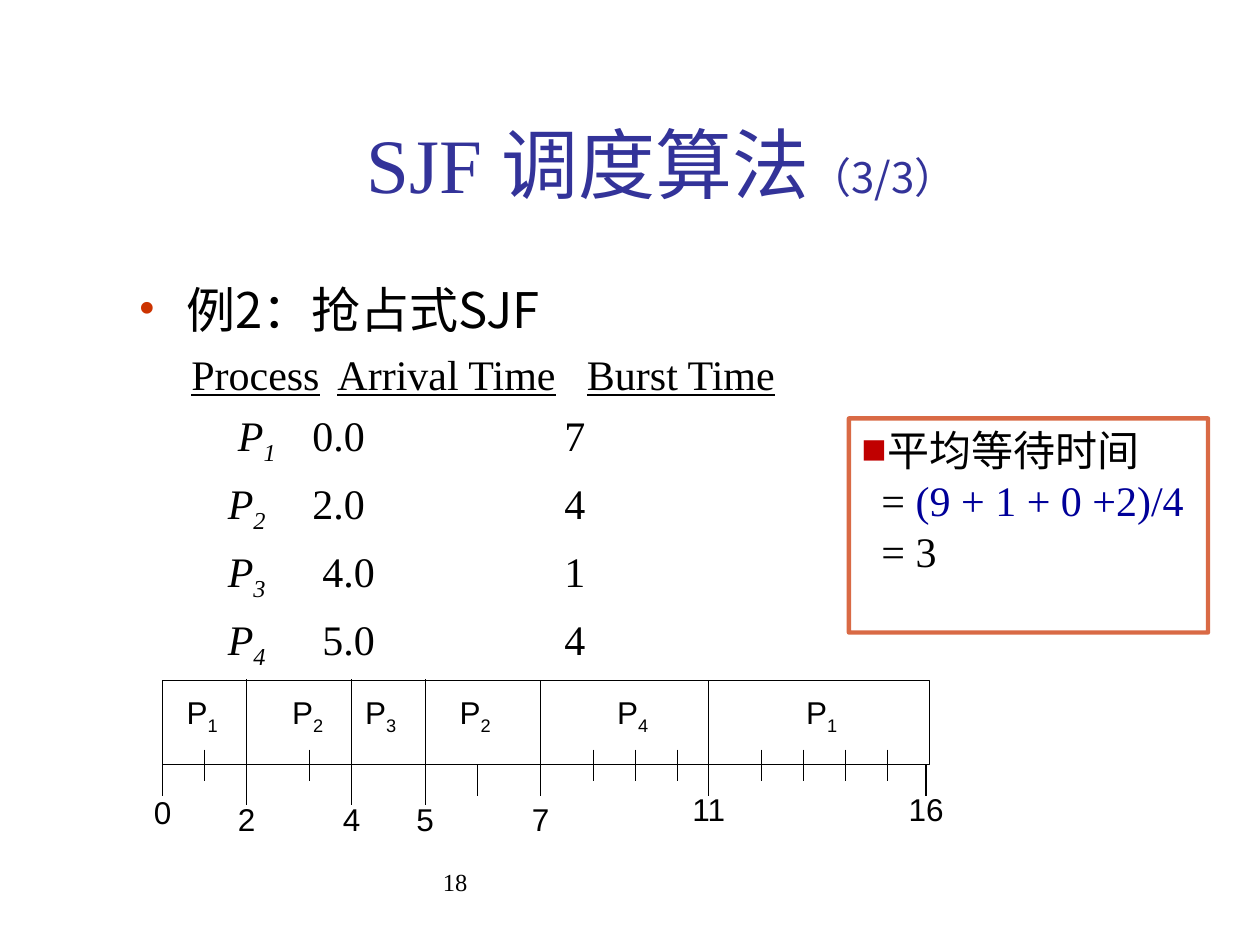
from lxml.etree import SubElement
from pptx import Presentation
from pptx.dml.color import RGBColor
from pptx.enum.shapes import MSO_CONNECTOR, MSO_SHAPE
from pptx.enum.text import MSO_ANCHOR, MSO_AUTO_SIZE, PP_ALIGN
from pptx.oxml.ns import qn
from pptx.util import Inches, Pt

COLORS = {
    "ink": "000000", "paper": "FFFFFF", "title": "333399", "bullet": "CC3300",
    "square": "C00000", "sum": "000099", "frame": "CC3300",
}
SERIF, SANS, CJK = "Times New Roman", "Arial", "Noto Sans CJK SC"
COLS, ROWS = 240, 180
BAR_TOP, BAR_BOTTOM = 129.6, 145.6
TIME_COLS = [31, 39, 47, 59, 67, 81, 91, 103, 113, 121, 129, 135,
             145, 153, 161, 169, 176.4]
LONG_TICK = (BAR_TOP - 0.2, BAR_BOTTOM + 7.8)
BELOW_TICK = (BAR_BOTTOM, BAR_BOTTOM + 6)
MINOR_TICK = (BAR_BOTTOM - 2.8, BAR_BOTTOM + 3.2)
TICKS = {0: BELOW_TICK, 2: LONG_TICK, 4: LONG_TICK, 5: LONG_TICK,
         6: BELOW_TICK, 7: BELOW_TICK, 11: BELOW_TICK, 16: BELOW_TICK}
DIVIDED_TIMES = (7, 11)
TIME_LABEL_ROWS = {0: 149.8, 2: 151.2, 4: 151.2, 5: 151.2, 7: 151.2, 11: 149.3, 16: 149.3}
BURSTS = [("1", 38.5), ("2", 58.6), ("3", 72.5), ("2", 90.5), ("4", 120.5), ("1", 156.5)]
PROCESSES = [("1", "0.0", "7", (0.79, 1.38)), ("2", "2.0", "4", (0.71, 1.38)),
             ("3", "4.0", "1", (0.71, 1.46)), ("4", "5.0", "4", (0.71, 1.46))]


def cells(count):
    """Convert a count of grid cells, 24 to the inch, into a length."""
    return Inches(count / 24)


def rgb(name):
    """Look up a named colour."""
    return RGBColor.from_string(COLORS[name])


def add_run(paragraph, text, font, size, color="ink", subscript=False, **formats):
    """Append a formatted run to a paragraph."""
    run = paragraph.add_run()
    run.text = text
    values = {"name": font, "size": Pt(size), **formats}
    for attribute, value in values.items():
        setattr(run.font, attribute, value)
    run.font.color.rgb = rgb(color)
    properties = run.font._element
    SubElement(properties, qn("a:ea")).set("typeface", font)
    if subscript:
        properties.set("baseline", "-25000")


def set_indent(paragraph, margin, hanging=0):
    """Set the left margin and hanging indent of a paragraph, in inches."""
    properties = paragraph._p.get_or_add_pPr()
    properties.set("marL", str(Inches(margin)))
    properties.set("indent", str(-Inches(hanging)))


def set_bullet(paragraph, character, color):
    """Give a paragraph a coloured bullet."""
    properties = paragraph._p.get_or_add_pPr()
    bullet_color = SubElement(properties, qn("a:buClr"))
    SubElement(bullet_color, qn("a:srgbClr")).set("val", COLORS[color])
    SubElement(properties, qn("a:buFont")).set("typeface", SERIF)
    SubElement(properties, qn("a:buChar")).set("char", character)


def set_tabs(paragraph, positions):
    """Give a paragraph left tab stops, in inches."""
    stops = SubElement(paragraph._p.get_or_add_pPr(), qn("a:tabLst"))
    for position in positions:
        stop = SubElement(stops, qn("a:tab"))
        stop.set("pos", str(Inches(position)))
        stop.set("algn", "l")


def add_text(slide, col, row, width, height):
    """Add a wrapping text box and return its text frame."""
    box = slide.shapes.add_textbox(*map(cells, (col, row, width, height)))
    box.text_frame.word_wrap = True
    return box.text_frame


def add_label(slide, center, row, width, height, text, subscript=None):
    """Add a label centred on a grid column."""
    frame = add_text(slide, center - width / 2, row, width, height)
    frame.word_wrap = False
    frame.vertical_anchor = MSO_ANCHOR.MIDDLE
    paragraph = frame.paragraphs[0]
    paragraph.alignment = PP_ALIGN.CENTER
    add_run(paragraph, text, SANS, 18)
    if subscript:
        add_run(paragraph, subscript, SANS, 18, subscript=True)


def add_box(slide, col, row, width, height, line, points):
    """Add an outlined rectangle."""
    box = slide.shapes.add_shape(MSO_SHAPE.RECTANGLE, *map(cells, (col, row, width, height)))
    box.shadow.inherit = False
    box.line.color.rgb = rgb(line)
    box.line.width = Pt(points)
    return box


def add_tick(slide, col, top, bottom):
    """Draw a vertical line on the time axis."""
    tick = slide.shapes.add_connector(
        MSO_CONNECTOR.STRAIGHT, *map(cells, (col, top, col, bottom)))
    tick.line.color.rgb = rgb("ink")
    tick.line.width = Pt(0.75)
    SubElement(tick._element.spPr, qn("a:effectLst"))


def add_title(slide):
    """Place and write the title."""
    title = slide.shapes.title
    title.left, title.top, title.width, title.height = map(cells, (24, 16, 204, 30))
    frame = title.text_frame
    frame.auto_size = MSO_AUTO_SIZE.NONE
    frame.vertical_anchor = MSO_ANCHOR.MIDDLE
    heading = frame.paragraphs[0]
    heading.alignment = PP_ALIGN.CENTER
    for text, font, size in (("SJF ", SERIF, 44), ("调度算法", CJK, 44), ("（3/3）", CJK, 24)):
        add_run(heading, text, font, size, "title")


def add_example(slide):
    """Write the example heading and the tabbed list of processes."""
    frame = add_text(slide, 24, 52, 198, 108)
    heading = frame.paragraphs[0]
    set_indent(heading, 0.38, 0.38)
    set_bullet(heading, "•", "bullet")
    add_run(heading, "例2：抢占式SJF", CJK, 28)
    header = frame.add_paragraph()
    set_tabs(header, (0.42, 1.58, 3.56))
    header.space_before = Pt(6)
    add_run(header, "\t", SERIF, 24)
    add_run(header, "Process\tArrival Time\tBurst Time", SERIF, 24, underline=True)
    for number, arrival, burst, tabs in PROCESSES:
        process = frame.add_paragraph()
        set_tabs(process, (*tabs, 3.38))
        process.space_before = Pt(6)
        add_run(process, "\tP", SERIF, 24, italic=True)
        add_run(process, number, SERIF, 24, subscript=True, italic=True)
        add_run(process, f"\t{arrival}\t{burst}", SERIF, 24)


def add_gantt(slide):
    """Draw the schedule bar with its ticks and labels."""
    bar = add_box(slide, TIME_COLS[0], BAR_TOP, 146, BAR_BOTTOM - BAR_TOP, "ink", 0.75)
    bar.fill.solid()
    bar.fill.fore_color.rgb = rgb("paper")
    for time, col in enumerate(TIME_COLS):
        add_tick(slide, col, *TICKS.get(time, MINOR_TICK))
    for time in DIVIDED_TIMES:
        add_tick(slide, TIME_COLS[time], BAR_TOP, BAR_BOTTOM)
    for time, row in TIME_LABEL_ROWS.items():
        add_label(slide, TIME_COLS[time], row, 8.2 if time < 10 else 11.5, 9.6, str(time))
    for number, center in BURSTS:
        add_label(slide, center, 130.8, 10.8, 10.6, "P", number)


def add_average(slide):
    """Add the framed average waiting time."""
    box = add_box(slide, 161.7, 79.7, 68.4, 40.8, "frame", 2.5)
    box.fill.background()
    color = box.line._ln.find(".//" + qn("a:srgbClr"))
    SubElement(color, qn("a:alpha")).set("val", "73000")
    frame = box.text_frame
    frame.word_wrap = True
    frame.vertical_anchor = MSO_ANCHOR.TOP
    heading, total, result = frame.paragraphs[0], frame.add_paragraph(), frame.add_paragraph()
    set_indent(heading, 0.21, 0.21)
    set_bullet(heading, "■", "square")
    add_run(heading, "平均等待时间", CJK, 24)
    for line in (total, result):
        set_indent(line, 0.16)
    add_run(total, "= ", SERIF, 24)
    add_run(total, "(9 + 1 + 0 +2)/4", SERIF, 24, "sum")
    add_run(result, "= 3", SERIF, 24)
    for paragraph in frame.paragraphs:
        paragraph.alignment = PP_ALIGN.LEFT


def main():
    """Build and save the slide."""
    deck = Presentation()
    deck.slide_width, deck.slide_height = cells(COLS), cells(ROWS)
    slide = deck.slides.add_slide(deck.slide_layouts[5])
    page = add_text(slide, 82, 164, 76, 12)
    add_run(page.paragraphs[0], "18", SERIF, 14)
    add_example(slide)
    add_title(slide)
    add_gantt(slide)
    add_average(slide)
    deck.save("out.pptx")


if __name__ == "__main__":
    main()
